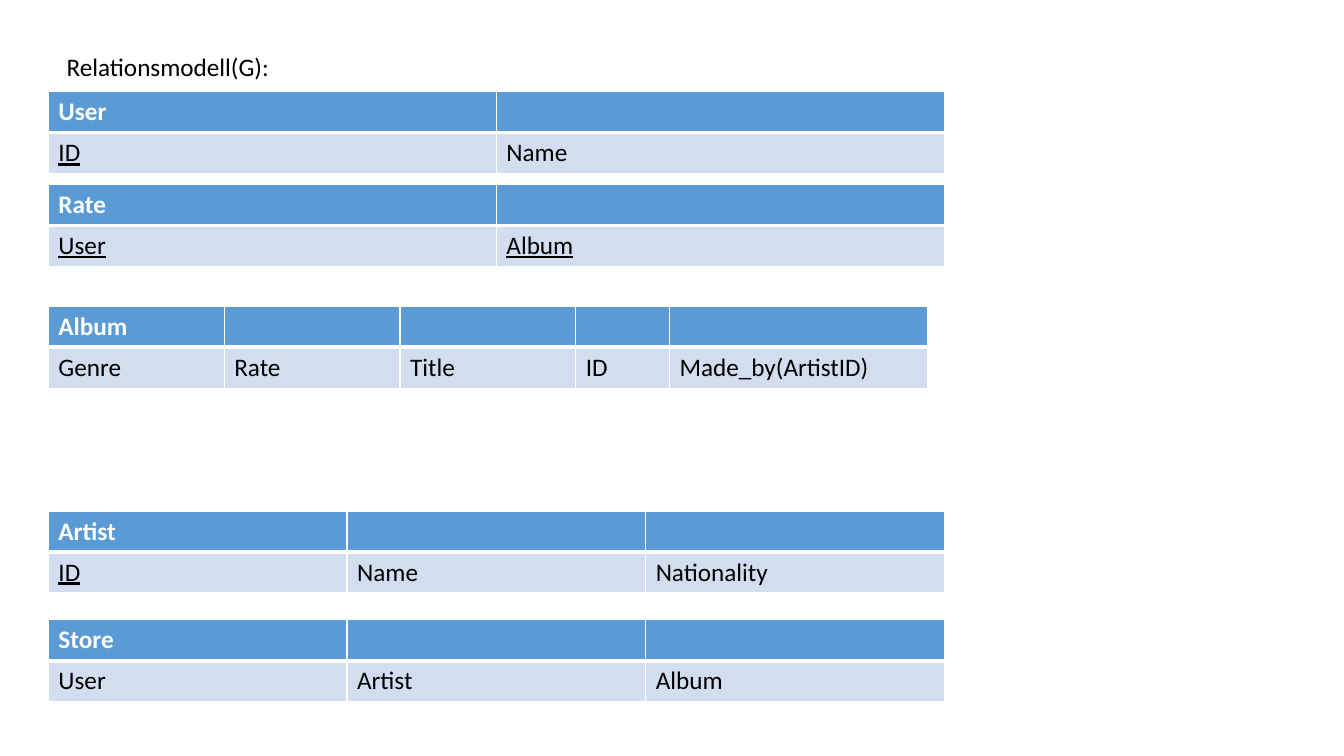
from lxml import etree
from pptx import Presentation
from pptx import util as u
from pptx.dml.color import RGBColor
from pptx.enum import text as t
from pptx.oxml import ns

WHITE = RGBColor(0xFF, 0xFF, 0xFF)
BLACK = RGBColor(0x00, 0x00, 0x00)
HEADER_BLUE = RGBColor(0x5B, 0x9B, 0xD5)
BODY_BLUE = RGBColor(0xD2, 0xDE, 0xEF)

FONT = "Calibri"
LEFT = 1.22
ROW_HEIGHT = 1.03
HALVES = [22.58 / 2] * 2
THIRDS = [22.58 / 3] * 3
ALBUM_WIDTHS = [4.43, 4.43, 4.43, 2.36, 6.5]

# Relation name, top in cm, column widths in cm, attributes, key attributes
RELATIONS = [
    ("User", 2.31, HALVES, ["ID", "Name"], {"ID"}),
    ("Rate", 4.65, HALVES, ["User", "Album"], {"User", "Album"}),
    ("Album", 7.72, ALBUM_WIDTHS,
     ["Genre", "Rate", "Title", "ID", "Made_by(ArtistID)"], set()),
    ("Artist", 12.88, THIRDS, ["ID", "Name", "Nationality"], {"ID"}),
    ("Store", 15.62, THIRDS, ["User", "Artist", "Album"], set()),
]


def write_text(text_frame, words, color=BLACK, bold=False, underline=False):
    run = text_frame.paragraphs[0].add_run()
    run.text = words
    font = run.font
    font.name = FONT
    font.size = u.Pt(18)
    font.color.rgb = color
    font.bold = bold
    font.underline = underline


def set_borders(cell, top=1, bottom=1):
    """Draw white cell borders; widths are in points."""
    properties = cell._tc.get_or_add_tcPr()
    widths = {"lnL": 1, "lnR": 1, "lnT": top, "lnB": bottom}
    for index, (side, width) in enumerate(widths.items()):
        line = etree.Element(ns.qn(f"a:{side}"), w=str(u.Pt(width)))
        fill = etree.SubElement(line, ns.qn("a:solidFill"))
        etree.SubElement(fill, ns.qn("a:srgbClr"), val=str(WHITE))
        properties.insert(index, line)


def fill_cell(cell, color):
    cell.fill.solid()
    cell.fill.fore_color.rgb = color


def add_relation(slide, name, top, widths, attributes, keys):
    """Add a table with the relation name above its attributes, keys underlined."""
    frame = slide.shapes.add_table(
        2, len(widths), u.Cm(LEFT), u.Cm(top),
        u.Cm(sum(widths)), u.Cm(2 * ROW_HEIGHT))
    table = frame.table
    for row in table.rows:
        row.height = u.Cm(ROW_HEIGHT)
    for index, (width, attribute) in enumerate(zip(widths, attributes)):
        table.columns[index].width = u.Cm(width)
        header, body = table.cell(0, index), table.cell(1, index)
        fill_cell(header, HEADER_BLUE)
        set_borders(header, bottom=3)
        fill_cell(body, BODY_BLUE)
        set_borders(body, top=3)
        write_text(body.text_frame, attribute, underline=attribute in keys)
    write_text(table.cell(0, 0).text_frame, name, color=WHITE, bold=True)


def add_heading(slide, words):
    box = slide.shapes.add_textbox(u.Cm(1.43), u.Cm(1.18), u.Cm(5.69), u.Cm(1.03))
    box.text_frame.word_wrap = False
    box.text_frame.auto_size = t.MSO_AUTO_SIZE.SHAPE_TO_FIT_TEXT
    write_text(box.text_frame, words)


def main():
    presentation = Presentation()
    presentation.slide_width = u.Cm(33.87)
    presentation.slide_height = u.Cm(19.05)
    slide = presentation.slides.add_slide(presentation.slide_layouts[6])
    for relation in RELATIONS:
        add_relation(slide, *relation)
    add_heading(slide, "Relationsmodell(G):")
    presentation.save("out.pptx")


if __name__ == "__main__":
    main()
